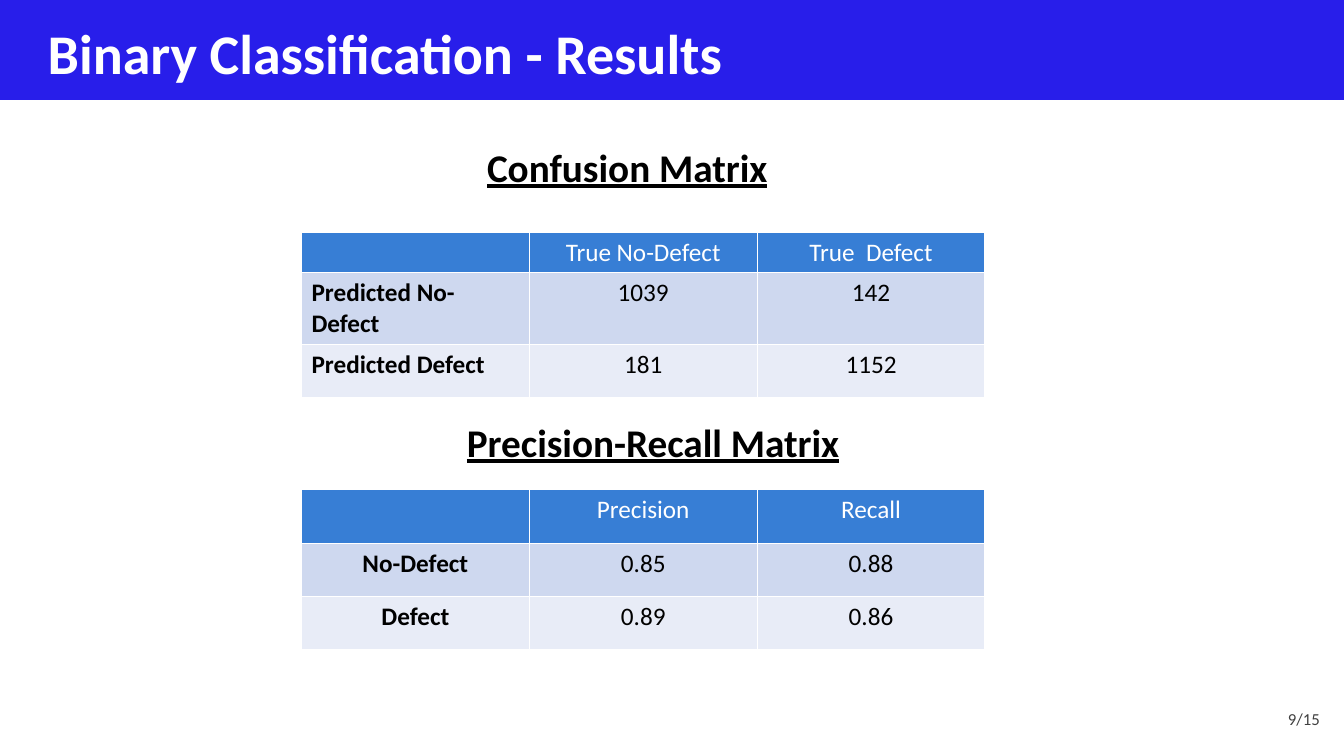
"""Build the binary classification results slide with its two matrices."""
import pptx
import pptx.dml.color
import pptx.enum.shapes
import pptx.enum.text
import pptx.util

COLORS = {
    "banner": "281EEA",
    "header": "377ED5",
    "odd_row": "CED8EF",
    "even_row": "E8ECF7",
    "white": "FFFFFF",
    "black": "000000",
    "page": "404040",
}
ALIGN = pptx.enum.text.PP_ALIGN
MIDDLE = pptx.enum.text.MSO_ANCHOR.MIDDLE

presentation = pptx.Presentation()
presentation.slide_width = pptx.util.Inches(13.33)
presentation.slide_height = pptx.util.Inches(7.5)
slide = presentation.slides.add_slide(presentation.slide_layouts[5])


def area(left, top, width, height):
    """Turn percentages of the slide into lengths."""
    across, down = presentation.slide_width / 100, presentation.slide_height / 100
    return [round(length) for length in (left * across, top * down, width * across, height * down)]


def write(frame, text, size=18, color="black", bold=False, underline=False,
          align=ALIGN.LEFT, wrap=True, anchor=pptx.enum.text.MSO_ANCHOR.TOP):
    """Fill a text frame with one formatted paragraph."""
    frame.word_wrap = wrap
    frame.vertical_anchor = anchor
    paragraph = frame.paragraphs[0]
    paragraph.alignment = align
    run = paragraph.add_run()
    run.text = text
    run.font.name = "Calibri"
    run.font.size = pptx.util.Pt(size)
    run.font.bold = bold
    run.font.underline = underline
    run.font.color.rgb = pptx.dml.color.RGBColor.from_string(COLORS[color])


banner = slide.shapes.add_shape(pptx.enum.shapes.MSO_SHAPE.RECTANGLE, *area(0, 0, 100, 13.2))
banner.shadow.inherit = False
banner.fill.solid()
banner.fill.fore_color.rgb = pptx.dml.color.RGBColor.from_string(COLORS["banner"])
banner.line.fill.background()

title = slide.shapes.title
title.left, title.top, title.width, title.height = area(2.8, 1.33, 94.5, 11.2)
banner.element.addnext(title.element)
write(title.text_frame, "Binary Classification - Results", size=40, color="white",
      bold=True, wrap=False, anchor=MIDDLE)

page_number = slide.shapes.add_textbox(*area(87, 93.45, 11.95, 3.35))
write(page_number.text_frame, "9/15", size=12, color="page", align=ALIGN.RIGHT, anchor=MIDDLE)

matrices = [
    {
        "heading": "Confusion Matrix",
        "heading_area": (35.5, 18.25, 29.4, 7.6),
        "top": 30.7,
        "row_heights": (5.35, 9.5, 7.05),
        "label_align": ALIGN.LEFT,
        "rows": [
            ("", "True No-Defect", "True  Defect"),
            ("Predicted No-Defect", "1039", "142"),
            ("Predicted Defect", "181", "1152"),
        ],
    },
    {
        "heading": "Precision-Recall Matrix",
        "heading_area": (34, 54.65, 29.55, 7.6),
        "top": 64.8,
        "row_heights": (7.05, 7.05, 7.05),
        "label_align": ALIGN.CENTER,
        "rows": [
            ("", "Precision", "Recall"),
            ("No-Defect", "0.85", "0.88"),
            ("Defect", "0.89", "0.86"),
        ],
    },
]

for matrix in matrices:
    heading = slide.shapes.add_textbox(*area(*matrix["heading_area"]))
    write(heading.text_frame, matrix["heading"], size=28, bold=True, underline=True)

    heights = matrix["row_heights"]
    table = slide.shapes.add_table(3, 3, *area(22.43, matrix["top"], 50.86, sum(heights))).table
    for row_index, fill in enumerate(("header", "odd_row", "even_row")):
        table.rows[row_index].height = area(0, 0, 0, heights[row_index])[3]
        for column_index, text in enumerate(matrix["rows"][row_index]):
            cell = table.cell(row_index, column_index)
            cell.fill.solid()
            cell.fill.fore_color.rgb = pptx.dml.color.RGBColor.from_string(COLORS[fill])
            if text:
                is_label = column_index == 0
                write(cell.text_frame, text, bold=is_label,
                      color="white" if row_index == 0 else "black",
                      align=matrix["label_align"] if is_label else ALIGN.CENTER)

presentation.save("out.pptx")
